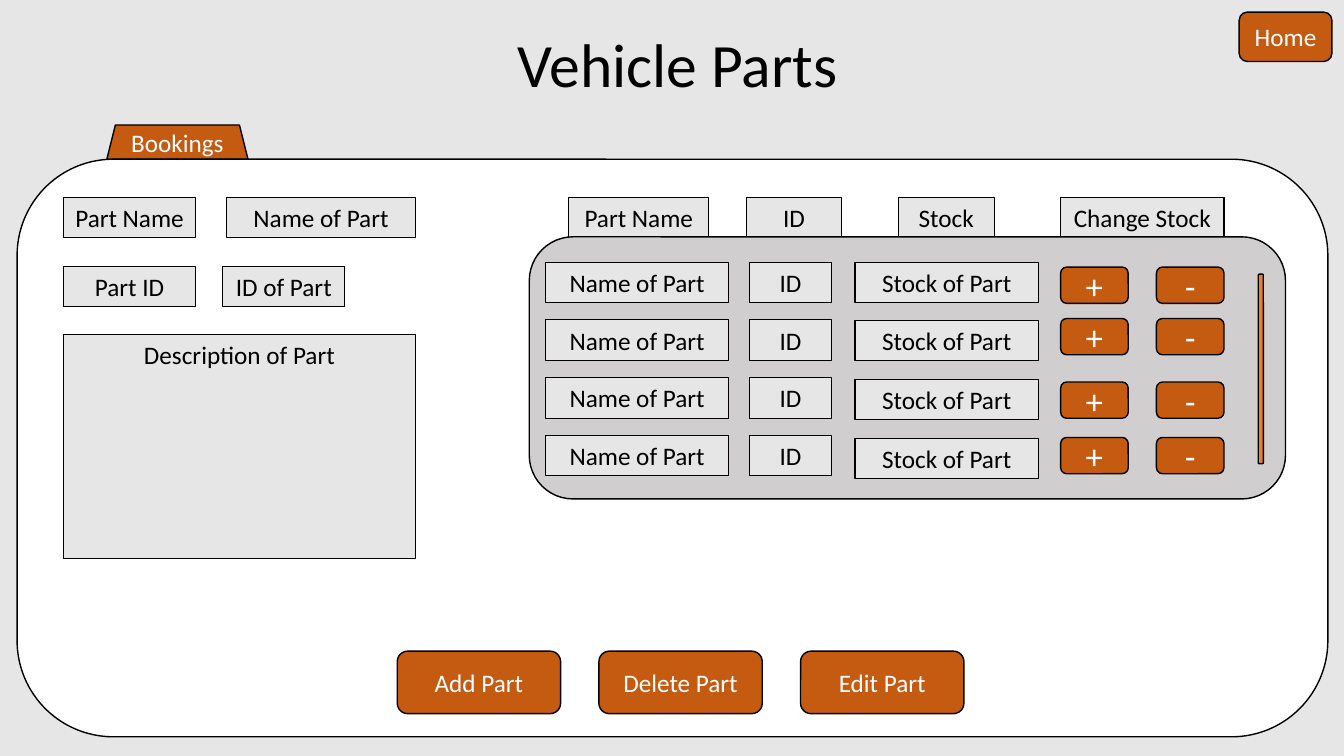
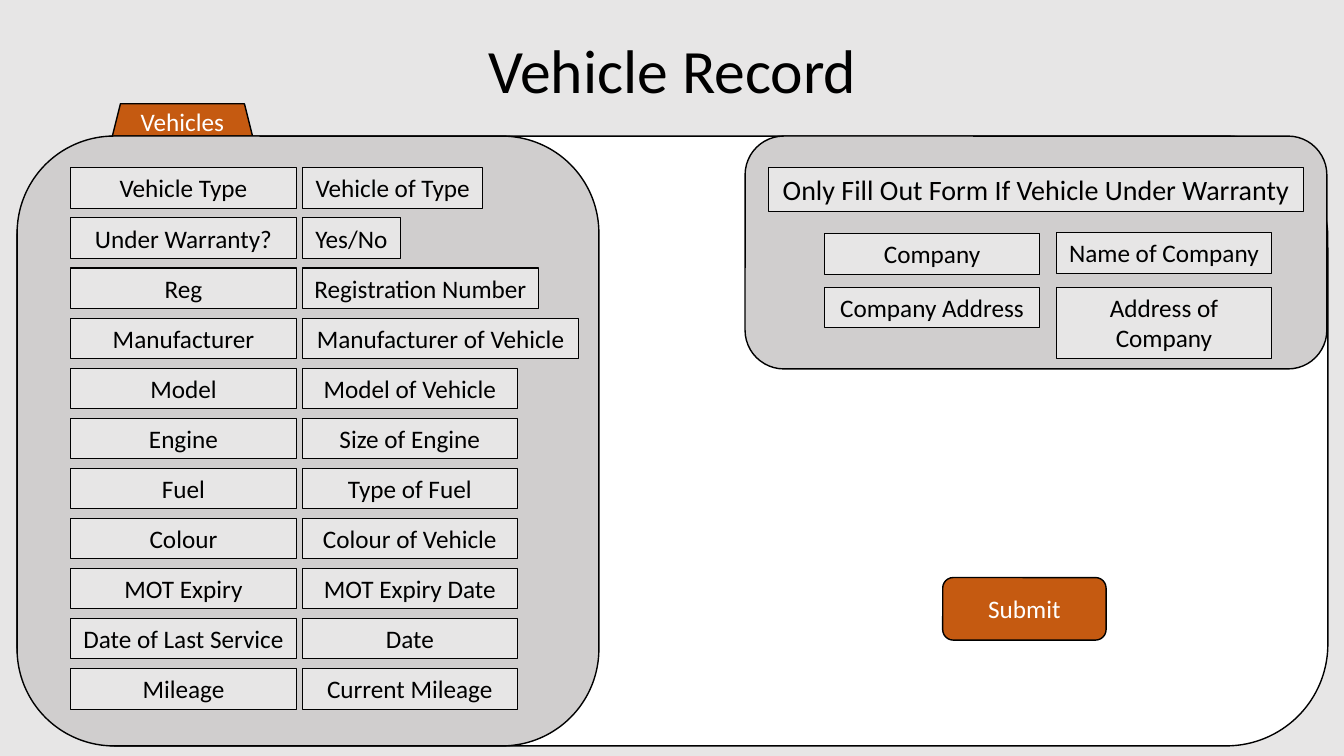
from dataclasses import dataclass, replace
from pptx import Presentation
from pptx.dml.color import RGBColor
from pptx.enum.shapes import MSO_SHAPE
from pptx.enum.text import MSO_ANCHOR, PP_ALIGN
from pptx.presentation import Presentation as Deck
from pptx.slide import Slide
from pptx.text.text import TextFrame
from pptx.util import Inches, Pt

# The slide is 75 grid rows high; columns and rows are equally wide.
SLIDE_WIDTH, SLIDE_HEIGHT = Inches(13.33), Inches(7.5)
GRID = SLIDE_HEIGHT / 75

FONT = "Calibri"
GREY, DARK_GREY, WHITE, BLACK = "E7E6E6", "D0CECE", "FFFFFF", "000000"
RUST, ORANGE = "C55A11", "ED7D31"
FIELD_HEIGHT = 4


@dataclass(frozen=True)
class Box:
    """A place on the grid, in columns and rows."""
    left: float
    top: float
    width: float
    height: float = FIELD_HEIGHT


@dataclass(frozen=True)
class Style:
    """The look of one kind of element."""
    preset: MSO_SHAPE
    fill: str
    ink: str = BLACK
    line_points: float = 1
    text_points: float = 18
    anchor: MSO_ANCHOR = MSO_ANCHOR.MIDDLE


FIELD = Style(MSO_SHAPE.RECTANGLE, GREY, line_points=0.75, anchor=MSO_ANCHOR.TOP)
NOTICE = replace(FIELD, text_points=20)
BUTTON = Style(MSO_SHAPE.ROUNDED_RECTANGLE, RUST, WHITE)
STOCK_BUTTON = replace(BUTTON, text_points=25)
TAB = replace(BUTTON, preset=MSO_SHAPE.TRAPEZOID)
PAGE = Style(MSO_SHAPE.ROUNDED_RECTANGLE, WHITE)
PANEL = replace(PAGE, fill=DARK_GREY)
SCROLLBAR = replace(PAGE, fill=ORANGE)


def colour(code: str) -> RGBColor:
    """Turn a hex string into a colour."""
    return RGBColor.from_string(code)


def place(box: Box) -> tuple[int, int, int, int]:
    """Turn grid units into lengths on the slide."""
    return tuple(round(part * GRID)
                 for part in (box.left, box.top, box.width, box.height))


def write(frame: TextFrame, text: str, points: float, ink: str,
          anchor: MSO_ANCHOR) -> None:
    """Put one centred paragraph into a text frame."""
    frame.text = text
    frame.word_wrap = True
    frame.vertical_anchor = anchor
    paragraph = frame.paragraphs[0]
    paragraph.alignment = PP_ALIGN.CENTER
    for run in paragraph.runs:
        run.font.name = FONT
        run.font.size = Pt(points)
        run.font.color.rgb = colour(ink)


def draw(slide: Slide, style: Style, box: Box, text: str = "") -> None:
    """Draw one element in its style, with its text if it has any."""
    element = slide.shapes.add_shape(style.preset, *place(box))
    element.shadow.inherit = False
    element.fill.solid()
    element.fill.fore_color.rgb = colour(style.fill)
    element.line.color.rgb = colour(BLACK)
    element.line.width = Pt(style.line_points)
    if text:
        write(element.text_frame, text, style.text_points, style.ink, style.anchor)


def draw_all(slide: Slide, style: Style, entries: list[tuple[Box, str]]) -> None:
    """Draw several elements that share a style."""
    for box, text in entries:
        draw(slide, style, box, text)


def add_screen(deck: Deck, title: str, title_box: Box, anchor: MSO_ANCHOR,
               tab: str, tab_box: Box, page: Box) -> Slide:
    """Add a screen with background, title, tab and page."""
    slide = deck.slides.add_slide(deck.slide_layouts[6])
    slide.background.fill.solid()
    slide.background.fill.fore_color.rgb = colour(GREY)
    draw(slide, TAB, tab_box, tab)
    heading = slide.shapes.add_textbox(*place(title_box)).text_frame
    write(heading, title, 44, BLACK, anchor)
    heading.paragraphs[0].line_spacing = 0.9
    draw(slide, PAGE, page)
    return slide


def add_parts_screen(deck: Deck) -> None:
    """Build the screen that lists parts and their stock."""
    slide = add_screen(deck, "Vehicle Parts", Box(48, 2.9, 38.5, 14.5),
                       MSO_ANCHOR.TOP, "Bookings", Box(10.6, 12.4, 14, 3.4),
                       Box(1.7, 15.8, 130, 57.3))
    header_top = 19.6
    draw_all(slide, FIELD, [
        (Box(6.3, header_top, 13.1), "Part Name"),
        (Box(22.5, header_top, 18.7), "Name of Part"),
        (Box(6.3, 26.4, 13.1), "Part ID"),
        (Box(22.1, 26.4, 12.1), "ID of Part"),
        (Box(6.3, 33.2, 34.9, 22.2), "Description of Part"),
        (Box(56.4, header_top, 13.9), "Part Name"),
        (Box(74, header_top, 9.5), "ID"),
        (Box(89.1, header_top, 9.5), "Stock"),
        (Box(105.2, header_top, 16.2), "Change Stock"),
    ])
    draw(slide, PANEL, Box(52.5, 23.5, 75, 26))
    for row, button_top in enumerate((26.5, 31.6, 37.9, 43.4)):
        field_top = 26 + 5.74 * row
        draw_all(slide, FIELD, [
            (Box(54.1, field_top, 18.2), "Name of Part"),
            (Box(74.3, field_top, 8.2), "ID"),
            (Box(84.8, 26 + 5.82 * row, 18.2), "Stock of Part"),
        ])
        draw_all(slide, STOCK_BUTTON, [
            (Box(105.2, button_top, 6.7, 3.6), "+"),
            (Box(114.7, button_top, 6.7, 3.6), "-"),
        ])
    draw(slide, SCROLLBAR, Box(124.8, 27.2, 0.5, 18.8))
    for column, action in enumerate(("Add Part", "Delete Part", "Edit Part")):
        draw(slide, BUTTON, Box(39.4 + 20 * column, 64.6, 16.2, 6.2), action)
    draw(slide, BUTTON, Box(122.9, 1.2, 9.2, 4.9), "Home")


VEHICLE_FIELDS = [
    ("Vehicle Type", "Vehicle of Type", 17.9),
    ("Under Warranty?", "Yes/No", 9.7),
    ("Reg", "Registration Number", 23.4),
    ("Manufacturer", "Manufacturer of Vehicle", 27.4),
    ("Model", "Model of Vehicle", 21.3),
    ("Engine", "Size of Engine", 21.3),
    ("Fuel", "Type of Fuel", 21.3),
    ("Colour", "Colour of Vehicle", 21.3),
    ("MOT Expiry", "MOT Expiry Date", 21.3),
    ("Date of Last Service", "Date", 21.3),
    ("Mileage", "Current Mileage", 21.3),
]


def add_record_screen(deck: Deck) -> None:
    """Build the form for one vehicle and its warranty."""
    page = Box(1.7, 13.5, 130, 60.5)
    slide = add_screen(deck, "Vehicle Record", Box(47.3, 0, 38.8, 14.5),
                       MSO_ANCHOR.MIDDLE, "Vehicles", Box(11.1, 10.3, 14, 3.4),
                       page)
    draw(slide, PANEL, Box(73.9, page.top, 57.7, 23.1))
    draw(slide, PANEL, replace(page, width=57.7))
    for row, (label, value, value_width) in enumerate(VEHICLE_FIELDS):
        top = 16.65 + 4.97 * row
        draw_all(slide, FIELD, [
            (Box(7, top, 22.4), label),
            (Box(30, top, value_width), value),
        ])
    draw(slide, NOTICE, Box(76.2, 16.6, 53.1, 4.4),
         "Only Fill Out Form If Vehicle Under Warranty")
    draw_all(slide, FIELD, [
        (Box(81.8, 23.2, 21.3), "Company"),
        (Box(104.8, 23.1, 21.3), "Name of Company"),
        (Box(81.8, 28.5, 21.3), "Company Address"),
        (Box(104.8, 28.5, 21.3, 7.1), "Address of Company"),
    ])
    draw(slide, BUTTON, Box(93.5, 57.3, 16.2, 6.2), "Submit")


deck = Presentation()
deck.slide_width, deck.slide_height = SLIDE_WIDTH, SLIDE_HEIGHT
add_parts_screen(deck)
add_record_screen(deck)
deck.save("out.pptx")
